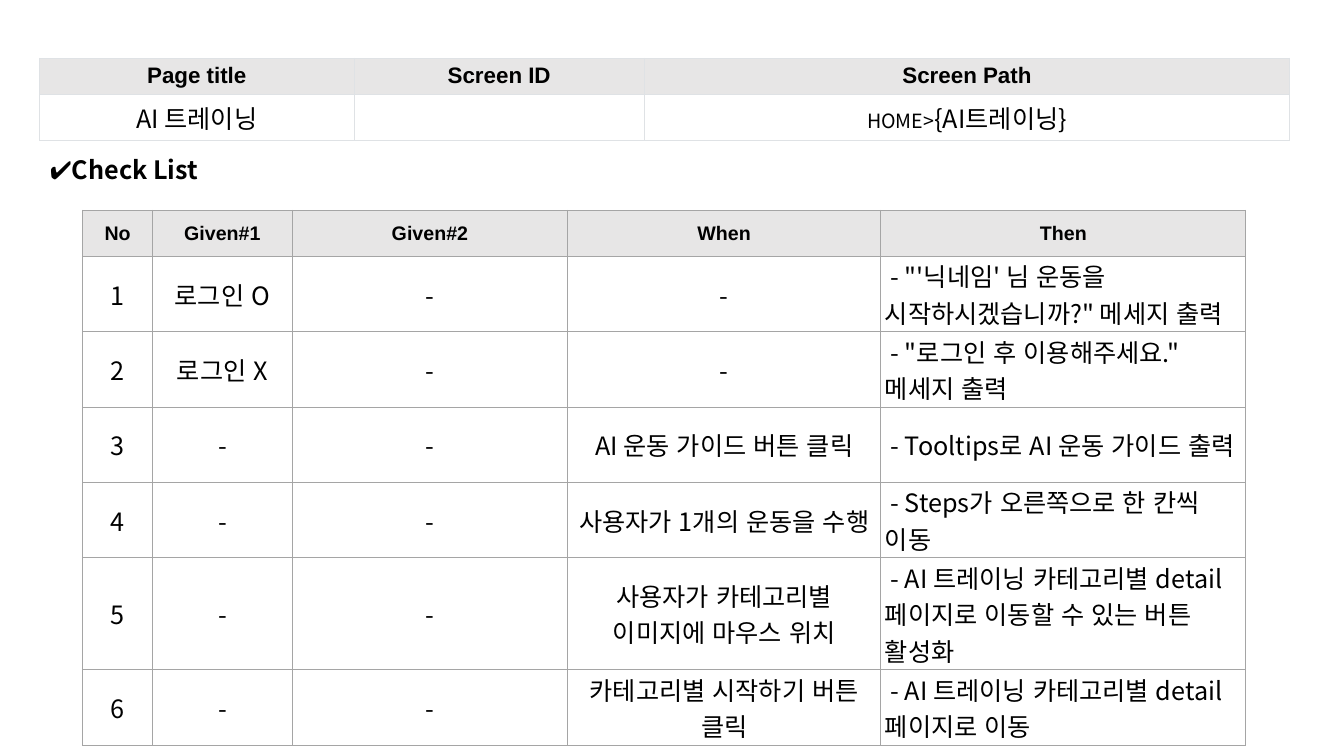
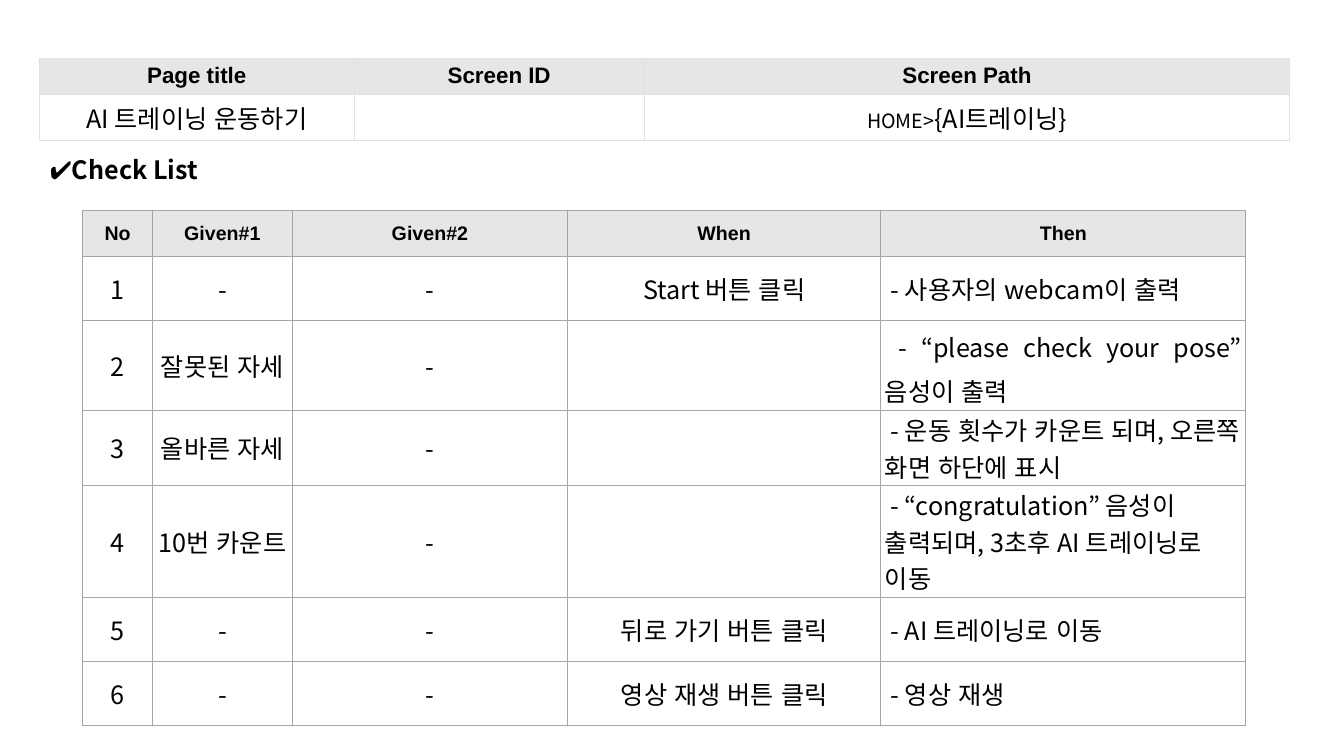
import pptx
import pptx.util
import pptx.dml.color
import pptx.enum.lang
import pptx.enum.text
import pptx.oxml
import pptx.oxml.ns

Cm = pptx.util.Cm
Pt = pptx.util.Pt
RGBColor = pptx.dml.color.RGBColor
ALIGN = pptx.enum.text.PP_ALIGN
ANCHOR = pptx.enum.text.MSO_ANCHOR

# Shared style
BLACK = RGBColor(0x00, 0x00, 0x00)
WHITE = RGBColor(0xFF, 0xFF, 0xFF)
HEADER_GRAY = RGBColor(0xE7, 0xE6, 0xE6)
PAGE_BORDER = RGBColor(0xDF, 0xE2, 0xE5)
CHECK_BORDER = RGBColor(0xA5, 0xA5, 0xA5)
HEADER_FONT = "Arial"
BODY_FONT = "Noto Sans CJK KR"
BODY_SIZE = 18

# Shared wording and column widths in centimetres
PAGE_COLUMNS = {"Page title": 7.92, "Screen ID": 7.32, "Screen Path": 16.26}
CHECK_COLUMNS = {"No": 1.75, "Given#1": 3.53, "Given#2": 6.93, "When": 7.9, "Then": 9.2}
PATH_ROOT = "HOME>"
PATH_PAGE = "{AI트레이닝}"

# Each check: Given#1, Given#2, When, Then
TRAINING_CHECKS = [
    ("로그인 O", "-", "-", " - \"'닉네임' 님 운동을 시작하시겠습니까?\" 메세지 출력"),
    ("로그인 X", "-", "-", " - \"로그인 후 이용해주세요.\" 메세지 출력"),
    ("-", "-", "AI 운동 가이드 버튼 클릭", " - Tooltips로 AI 운동 가이드 출력"),
    ("-", "-", "사용자가 1개의 운동을 수행", " - Steps가 오른쪽으로 한 칸씩 이동"),
    ("-", "-", "사용자가 카테고리별 이미지에 마우스 위치",
     " - AI 트레이닝 카테고리별 detail 페이지로 이동할 수 있는 버튼 활성화"),
    ("-", "-", "카테고리별 시작하기 버튼 클릭", " - AI 트레이닝 카테고리별 detail 페이지로 이동"),
]
EXERCISE_CHECKS = [
    ("-", "-", "Start 버튼 클릭", " - 사용자의 webcam이 출력"),
    ("잘못된 자세", "-", "", " - “please check your pose” 음성이 출력"),
    ("올바른 자세", "-", "", " - 운동 횟수가 카운트 되며, 오른쪽 화면 하단에 표시"),
    ("10번 카운트", "-", "", " - “congratulation” 음성이 출력되며, 3초후 AI 트레이닝로 이동"),
    ("-", "-", "뒤로 가기 버튼 클릭", " - AI 트레이닝로 이동"),
    ("-", "-", "영상 재생 버튼 클릭", " - 영상 재생"),
]


def format_run(run, size, font=BODY_FONT, bold=False):
    run.font.size = Pt(size)
    run.font.name = font
    run.font.bold = bold
    run.font.color.rgb = BLACK
    run.font.language_id = pptx.enum.lang.MSO_LANGUAGE_ID.KOREAN
    # East Asian typeface follows the Latin one
    latin = run.font._element.find(pptx.oxml.ns.qn("a:latin"))
    latin.addnext(pptx.oxml.parse_xml(
        f'<a:ea {pptx.oxml.ns.nsdecls("a")} typeface="{font}"/>'))


def add_borders(cell, color):
    properties = cell._tc.get_or_add_tcPr()
    for side in ("lnL", "lnR", "lnT", "lnB"):
        properties.append(pptx.oxml.parse_xml(
            f'<a:{side} {pptx.oxml.ns.nsdecls("a")} w="{Pt(0.75)}"><a:solidFill>'
            f'<a:srgbClr val="{color}"/></a:solidFill></a:{side}>'))


def add_grid(slide, left, top, columns, rows, heights, border, header_size, margins):
    """Add a table with a grey header row; margins are (side, header, body) in cm."""
    side, header_margin, body_margin = margins
    table = slide.shapes.add_table(
        len(rows) + 1, len(columns), Cm(left), Cm(top),
        Cm(sum(columns.values())), Cm(sum(heights))).table
    table.first_row = table.horz_banding = False
    for column, width in zip(table.columns, columns.values()):
        column.width = Cm(width)
    for row_index, texts in enumerate([list(columns)] + rows):
        is_header = row_index == 0
        table.rows[row_index].height = Cm(heights[row_index])
        for cell, text in zip(table.rows[row_index].cells, texts):
            add_borders(cell, border)
            cell.fill.solid()
            cell.fill.fore_color.rgb = HEADER_GRAY if is_header else WHITE
            cell.vertical_anchor = ANCHOR.MIDDLE
            cell.margin_left = cell.margin_right = Cm(side)
            cell.margin_top = cell.margin_bottom = Cm(header_margin if is_header else body_margin)
            if not text:
                continue
            paragraph = cell.text_frame.paragraphs[0]
            paragraph.text = text
            paragraph.alignment = ALIGN.CENTER
            if is_header:
                format_run(paragraph.runs[0], header_size, HEADER_FONT, True)
            else:
                format_run(paragraph.runs[0], BODY_SIZE)
    return table


def add_page_header(slide, left, top, page_title):
    table = add_grid(slide, left, top, PAGE_COLUMNS, [(page_title, "", PATH_ROOT)],
                     [0.9, 0.88], PAGE_BORDER, 16, (0.28, 0.13, 0.13))
    # The path starts with a smaller root
    paragraph = table.cell(1, 2).text_frame.paragraphs[0]
    paragraph.runs[0].font.size = Pt(14)
    page_run = paragraph.add_run()
    page_run.text = PATH_PAGE
    format_run(page_run, BODY_SIZE)


def add_title(slide, left, top, width, height):
    title = slide.shapes.title
    title.left, title.top, title.width, title.height = Cm(left), Cm(top), Cm(width), Cm(height)
    frame = title.text_frame
    frame.text = "✔Check List"
    frame.word_wrap = False
    frame.auto_size = pptx.enum.text.MSO_AUTO_SIZE.NONE
    frame.vertical_anchor = ANCHOR.TOP
    frame.paragraphs[0].alignment = ALIGN.LEFT
    format_run(frame.paragraphs[0].runs[0], BODY_SIZE, bold=True)


def add_check_list(slide, left, top, checks):
    rows = [(str(number), *check) for number, check in enumerate(checks, 1)]
    table = add_grid(slide, left, top, CHECK_COLUMNS, rows, [1.16] + [1.61] * len(rows),
                     CHECK_BORDER, 14, (0.1, 0.05, 0.03))
    # Results read from the left
    for row_index in range(1, len(rows) + 1):
        table.cell(row_index, 4).text_frame.paragraphs[0].alignment = ALIGN.LEFT
    return table


def add_check_slide(presentation, page_title, checks):
    slide = presentation.slides.add_slide(presentation.slide_layouts[5])
    add_title(slide, 1, 3.76, 4.7, 1.02)
    add_page_header(slide, 1, 1.47, page_title)
    return add_check_list(slide, 2.09, 5.3, checks)


presentation = pptx.Presentation()
presentation.slide_width = Cm(33.87)
presentation.slide_height = Cm(19.05)

add_check_slide(presentation, "AI 트레이닝", TRAINING_CHECKS)
exercise_table = add_check_slide(presentation, "AI 트레이닝 운동하기", EXERCISE_CHECKS)

# The spoken warning is justified with wider lines
warning = exercise_table.cell(2, 4).text_frame.paragraphs[0]
warning.alignment = ALIGN.JUSTIFY
warning.line_spacing = 1.2

presentation.save("out.pptx")
